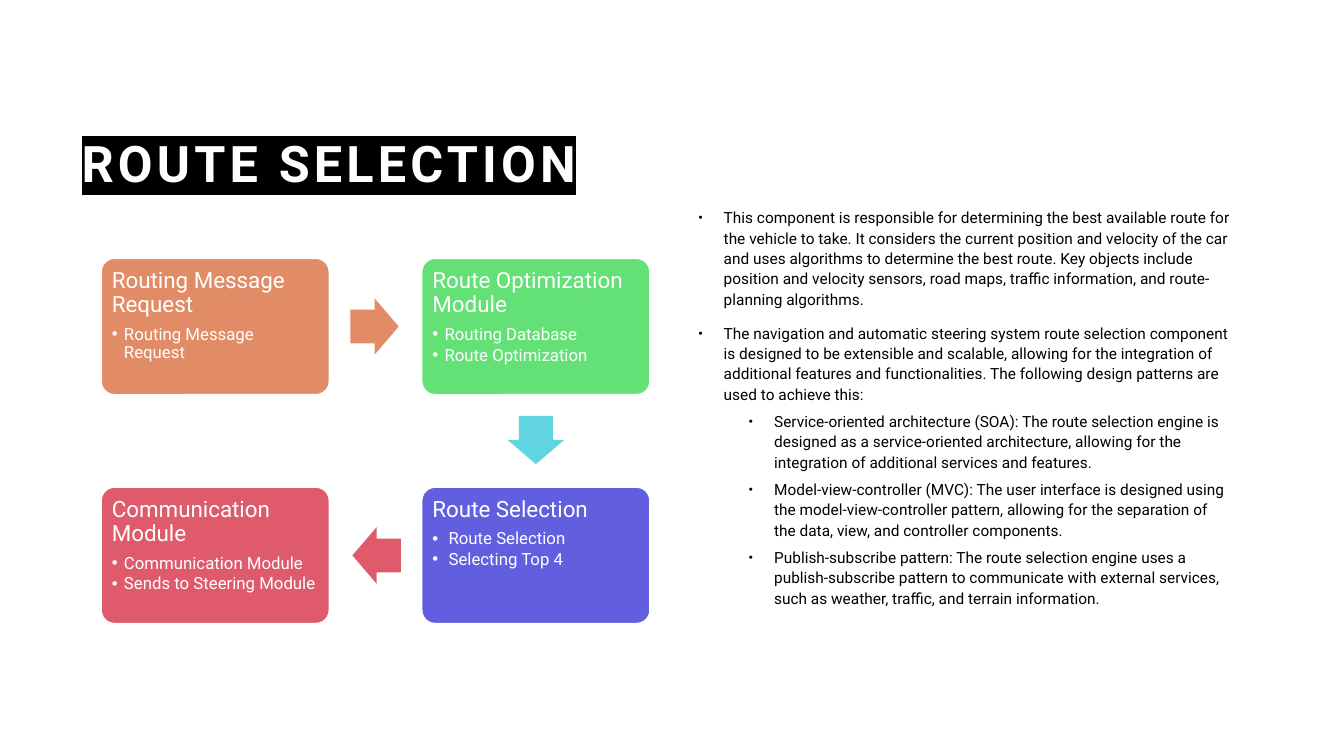
from lxml import etree
from pptx import Presentation
from pptx.dml.color import RGBColor
from pptx.enum import shapes, text
from pptx.oxml.ns import qn
from pptx.util import Inches, Pt

FONT = "Roboto"
COLORS = {
    "black": "000000", "white": "FFFFFF", "orange": "E28B67", "green": "63E176",
    "cyan": "60D5E1", "violet": "615EE0", "red": "DF5A6A",
}
TITLE = "ROUTE SELECTION"

# heading, bullets, colour, column, row, bullet indent
CARDS = [
    ("Routing Message Request", ["Routing Message Request"], "orange", 0, 0, 0.12),
    ("Route Optimization Module", ["Routing Database", "Route Optimization"],
     "green", 1, 0, 0.12),
    ("Route Selection", ["Route Selection", "Selecting Top 4"], "violet", 1, 1, 0.16),
    ("Communication Module", ["Communication Module", "Sends to Steering Module"],
     "red", 0, 1, 0.12),
]
ARROW_COLORS = ["orange", "cyan", "red"]

# level, text
NOTES = [
    (0, "This component is responsible for determining the best available route for "
        "the vehicle to take. It considers the current position and velocity of the "
        "car and uses algorithms to determine the best route. Key objects include "
        "position and velocity sensors, road maps, traffic information, and "
        "route-planning algorithms."),
    (0, "The navigation and automatic steering system route selection component is "
        "designed to be extensible and scalable, allowing for the integration of "
        "additional features and functionalities. The following design patterns are "
        "used to achieve this:"),
    (1, "Service-oriented architecture (SOA): The route selection engine is designed "
        "as a service-oriented architecture, allowing for the integration of "
        "additional services and features."),
    (1, "Model-view-controller (MVC): The user interface is designed using the "
        "model-view-controller pattern, allowing for the separation of the data, "
        "view, and controller components."),
    (1, "Publish-subscribe pattern: The route selection engine uses a "
        "publish-subscribe pattern to communicate with external services, such as "
        "weather, traffic, and terrain information."),
]

GRID_LEFT, GRID_TOP = 1.0, 2.56
COLUMN_STEP, ROW_STEP = 3.18, 2.27
CARD_WIDTH, CARD_HEIGHT = 2.27, 1.36
ARROW_WIDTH, ARROW_HEIGHT = 0.48, 0.56
ARROW_SETBACK = 0.01


def rgb(name):
    return RGBColor.from_string(COLORS[name])


def add_run(paragraph, words, size, color):
    run = paragraph.add_run()
    run.text = words
    run.font.size = Pt(size)
    run.font.name = FONT
    run.font.color.rgb = rgb(color)
    return run


def add_bullet(paragraph, left, hanging, color, percent):
    properties = paragraph._p.get_or_add_pPr()
    properties.set("marL", str(Inches(left)))
    properties.set("indent", str(-Inches(hanging)))
    bullet_color = etree.SubElement(properties, qn("a:buClr"))
    etree.SubElement(bullet_color, qn("a:srgbClr"), val=COLORS[color])
    etree.SubElement(properties, qn("a:buSzPct"), val=str(percent * 1000))
    etree.SubElement(properties, qn("a:buFont"), typeface="Arial")
    etree.SubElement(properties, qn("a:buChar"), char="•")


def next_paragraph(frame, index):
    return frame.add_paragraph() if index else frame.paragraphs[0]


def add_title(slide):
    title = slide.shapes.title
    title.left, title.top = Inches(0.71), Inches(0.71)
    title.width, title.height = Inches(11.62), Inches(1.25)
    frame = title.text_frame
    frame.auto_size = text.MSO_AUTO_SIZE.NONE
    frame.vertical_anchor = text.MSO_ANCHOR.BOTTOM
    paragraph = frame.paragraphs[0]
    paragraph.alignment = text.PP_ALIGN.LEFT
    paragraph.line_spacing = 1.2
    run = add_run(paragraph, TITLE, 36, "white")
    run.font.bold = True
    properties = run._r.get_or_add_rPr()
    properties.set("spc", "300")
    highlight = etree.Element(qn("a:highlight"))
    etree.SubElement(highlight, qn("a:srgbClr"), val=COLORS["black"])
    properties.find(qn("a:solidFill")).addnext(highlight)


def add_notes(slide):
    box = slide.shapes.add_textbox(Inches(6.83), Inches(2), Inches(5.5), Inches(4.76))
    frame = box.text_frame
    frame.word_wrap = True
    for index, (level, words) in enumerate(NOTES):
        paragraph = next_paragraph(frame, index)
        paragraph.level = level
        paragraph.line_spacing = 1.1
        if index:
            paragraph.space_before = Pt(5 if level else 10)
        add_bullet(paragraph, 0.25 + 0.5 * level, 0.25, "black", 75)
        add_run(paragraph, words, 11, "black")


def add_card(slide, heading, bullets, color, column, row, indent):
    card = slide.shapes.add_shape(
        shapes.MSO_SHAPE.ROUNDED_RECTANGLE,
        Inches(GRID_LEFT + column * COLUMN_STEP), Inches(GRID_TOP + row * ROW_STEP),
        Inches(CARD_WIDTH), Inches(CARD_HEIGHT))
    card.adjustments[0] = 0.1
    card.shadow.inherit = False
    card.fill.solid()
    card.fill.fore_color.rgb = rgb(color)
    card.line.color.rgb = rgb("white")
    card.line.width = Pt(1.5)
    frame = card.text_frame
    frame.word_wrap = True
    frame.vertical_anchor = text.MSO_ANCHOR.TOP
    frame.margin_left = frame.margin_right = Inches(0.07)
    frame.margin_top = frame.margin_bottom = Inches(0.07)
    for index, words in enumerate([heading] + bullets):
        paragraph = next_paragraph(frame, index)
        paragraph.alignment = text.PP_ALIGN.LEFT
        paragraph.line_spacing = 0.9
        paragraph.space_after = Pt(1.8 if index else 6)
        if index:
            paragraph.level = 1
            add_bullet(paragraph, indent, indent, "white", 100)
        add_run(paragraph, words, 12 if index else 16, "white")


def add_arrow(slide, start, end, color):
    """Place an arrow midway between two (column, row) cells, pointing to the end."""
    across, down = end[0] - start[0], end[1] - start[1]
    center_x = (GRID_LEFT + CARD_WIDTH / 2 + (start[0] + end[0]) / 2 * COLUMN_STEP
                - across * ARROW_SETBACK)
    center_y = (GRID_TOP + CARD_HEIGHT / 2 + (start[1] + end[1]) / 2 * ROW_STEP
                - down * ARROW_SETBACK)
    arrow = slide.shapes.add_shape(
        shapes.MSO_SHAPE.RIGHT_ARROW,
        Inches(center_x - ARROW_WIDTH / 2), Inches(center_y - ARROW_HEIGHT / 2),
        Inches(ARROW_WIDTH), Inches(ARROW_HEIGHT))
    arrow.adjustments[0], arrow.adjustments[1] = 0.6, 0.5
    arrow.rotation = {(1, 0): 0, (0, 1): 90, (-1, 0): 180}[across, down]
    arrow.shadow.inherit = False
    arrow.fill.solid()
    arrow.fill.fore_color.rgb = rgb(color)
    arrow.line.fill.background()


def main():
    presentation = Presentation()
    presentation.slide_width, presentation.slide_height = Inches(13.33), Inches(7.5)
    slide = presentation.slides.add_slide(presentation.slide_layouts[5])
    add_title(slide)
    add_notes(slide)
    for card in CARDS:
        add_card(slide, *card)
    cells = [card[3:5] for card in CARDS]
    for start, end, color in zip(cells, cells[1:], ARROW_COLORS):
        add_arrow(slide, start, end, color)
    presentation.save("out.pptx")


if __name__ == "__main__":
    main()
